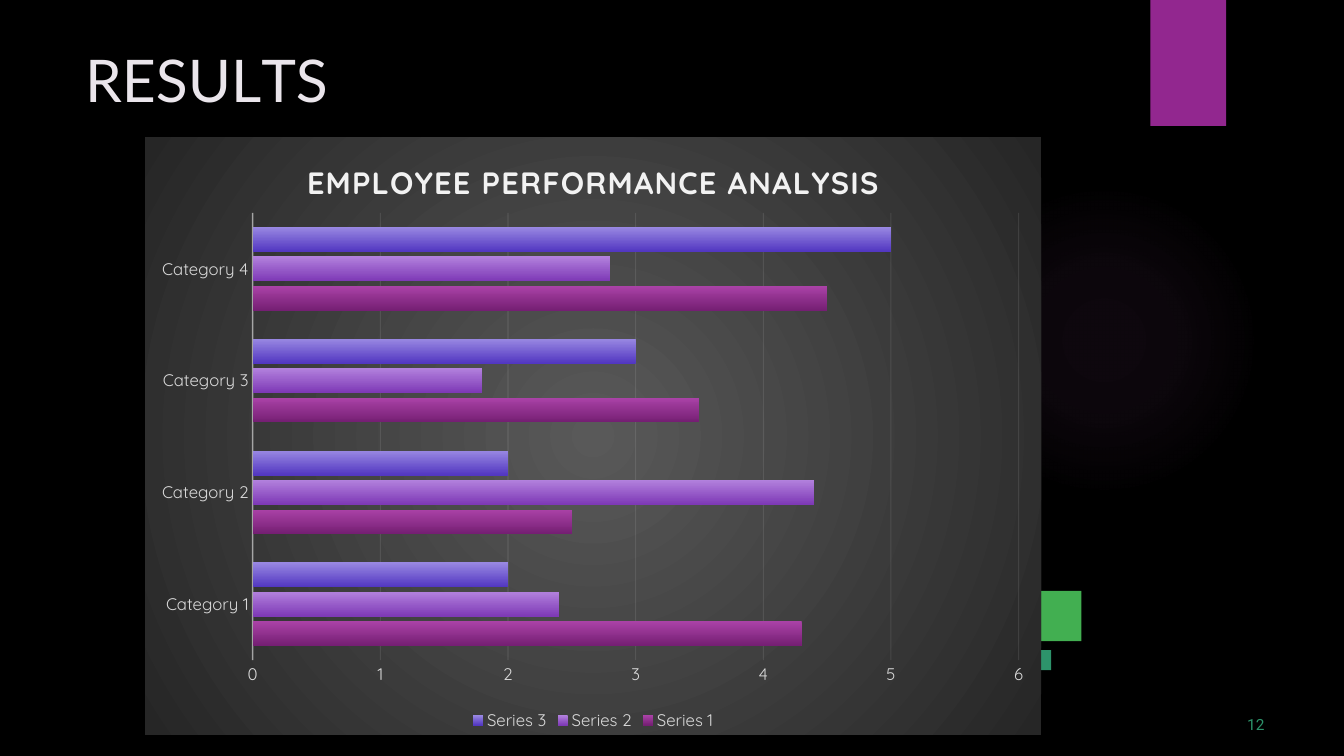
from lxml import etree
from pptx import Presentation
from pptx import util as u
from pptx.chart.data import CategoryChartData
from pptx.dml.color import RGBColor
from pptx.enum import chart as ch
from pptx.enum import shapes, text
from pptx.oxml import ns, parse_xml

CATEGORIES = ["Category 1", "Category 2", "Category 3", "Category 4"]
# name, values, top colour, bottom colour
SERIES = [
    ("Series 1", [4.3, 2.5, 3.5, 4.5], "AA42A7", "751F73"),
    ("Series 2", [2.4, 4.4, 1.8, 2.8], "B281DD", "7E39B6"),
    ("Series 3", [2, 2, 3, 5], "9988E2", "5237C1"),
]
# letters, letter spacing in points
TITLE = [("R", 0), ("E", -0.4), ("S", 0.1), ("U", -0.3), ("L", -4), ("TS", 0)]


def color(code):
    return RGBColor.from_string(code)


def gradient(stops, angle=None):
    """Gradient of (position %, colour, opacity %) stops; circular without an angle."""
    fill = etree.Element(ns.qn("a:gradFill"), rotWithShape="1")
    stop_list = etree.SubElement(fill, ns.qn("a:gsLst"))
    for position, code, opacity in stops:
        stop = etree.SubElement(stop_list, ns.qn("a:gs"), pos=str(position * 1000))
        tint = etree.SubElement(stop, ns.qn("a:srgbClr"), val=code)
        if opacity < 100:
            etree.SubElement(tint, ns.qn("a:alpha"), val=str(opacity * 1000))
    if angle is None:
        way = etree.SubElement(fill, ns.qn("a:path"))
        way.set("path", "circle")
        etree.SubElement(way, ns.qn("a:fillToRect"), l="50000", t="50000",
                         r="50000", b="50000")
    else:
        etree.SubElement(fill, ns.qn("a:lin"), ang=str(angle * 60000), scaled="0")
    return fill


def swap_fill(properties, fill):
    """Put a gradient in the place of a solid fill."""
    solid = properties.find(ns.qn("a:solidFill"))
    properties.replace(solid, fill)


class SlideBuilder:
    heading_font = "Lato"
    number_font = "Roboto"
    chart_font = "Quicksand"
    chart_text = "D9D9D9"
    chart_line = "F2F2F2"

    def __init__(self, deck):
        self.slide = deck.slides.add_slide(deck.slide_layouts[6])
        background = self.slide.background.fill
        background.solid()
        background.fore_color.rgb = color("000000")

    def block(self, left, top, width, height, code,
              kind=shapes.MSO_SHAPE.RECTANGLE):
        shape = self.slide.shapes.add_shape(
            kind, u.Pt(left), u.Pt(top), u.Pt(width), u.Pt(height))
        shape.shadow.inherit = False
        shape.fill.solid()
        shape.fill.fore_color.rgb = color(code)
        shape.line.fill.background()
        return shape

    def halo(self, left, top, size, code):
        shape = self.block(left, top, size, size, code, shapes.MSO_SHAPE.OVAL)
        stops = [(0, code, 7), (36, code, 6), (69, code, 0)]
        swap_fill(shape._element.spPr, gradient(stops))

    def label(self, left, top, width, height, spans, size, font, code,
              indent, before):
        box = self.slide.shapes.add_textbox(
            u.Pt(left), u.Pt(top), u.Pt(width), u.Pt(height))
        frame = box.text_frame
        frame.word_wrap = True
        frame.auto_size = text.MSO_AUTO_SIZE.SHAPE_TO_FIT_TEXT
        frame.margin_left = frame.margin_right = frame.margin_bottom = 0
        frame.margin_top = u.Pt(1)
        para = frame.paragraphs[0]
        para.space_before = u.Pt(before)
        para._p.get_or_add_pPr().set("marL", str(u.Pt(indent)))
        for letters, spacing in spans:
            span = para.add_run()
            span.text = letters
            self.style(span.font, size, code, font)
            span.font._element.set("spc", str(round(spacing * 100)))

    def style(self, font, size, code, name):
        font.size = u.Pt(size)
        font.name = name
        font.color.rgb = color(code)

    def rule(self, line, width, opacity):
        line.width = u.Pt(width)
        line.color.rgb = color(self.chart_line)
        tint = line._ln.find(".//" + ns.qn("a:srgbClr"))
        etree.SubElement(tint, ns.qn("a:alpha"), val=str(opacity * 1000))

    def bar_chart(self, left, top, width, height, title):
        data = CategoryChartData()
        data.categories = CATEGORIES
        for name, values, _, _ in SERIES:
            data.add_series(name, values)
        chart = self.slide.shapes.add_chart(
            ch.XL_CHART_TYPE.BAR_CLUSTERED, u.Pt(left), u.Pt(top),
            u.Pt(width), u.Pt(height), data).chart
        self.style(chart.font, 10, "FFFFFF", self.chart_font)
        self.chart_background(chart)
        self.chart_title(chart, title)
        self.axes(chart)
        self.plot_area(chart)

        plot = chart.plots[0]
        plot.gap_width = 115
        plot.overlap = -20
        plot.vary_by_categories = False
        for series, (_, _, light, dark) in zip(plot.series, SERIES):
            series.format.fill.solid()
            fill = gradient([(0, light, 100), (100, dark, 100)], 90)
            swap_fill(series._element.spPr, fill)

        chart.has_legend = True
        chart.legend.position = ch.XL_LEGEND_POSITION.BOTTOM
        chart.legend.include_in_layout = False
        self.style(chart.legend.font, 12, self.chart_text, self.chart_font)

    def chart_background(self, chart):
        space = chart._chartSpace
        properties = etree.Element(ns.qn("c:spPr"))
        properties.append(gradient([(0, "595959", 100), (100, "262626", 100)]))
        line = etree.SubElement(properties, ns.qn("a:ln"))
        etree.SubElement(line, ns.qn("a:noFill"))
        space.find(ns.qn("c:txPr")).addprevious(properties)

    def chart_title(self, chart, title):
        chart.has_title = True
        chart.chart_title.include_in_layout = False
        span = chart.chart_title.text_frame.paragraphs[0].add_run()
        span.text = title
        span.font.bold = True
        self.style(span.font, 22, "F2F2F2", self.chart_font)
        span.font._element.set("spc", "100")

    def axes(self, chart):
        for axis in (chart.category_axis, chart.value_axis):
            axis.major_tick_mark = axis.minor_tick_mark = ch.XL_TICK_MARK.NONE
            self.style(axis.tick_labels.font, 12, self.chart_text, self.chart_font)
        self.rule(chart.category_axis.format.line, 1, 54)
        scale = chart.value_axis
        scale.minimum_scale, scale.maximum_scale, scale.major_unit = 0, 6, 1
        scale.format.line.fill.background()
        scale.has_major_gridlines = True
        self.rule(scale.major_gridlines.format.line, 0.75, 10)

    def plot_area(self, chart):
        """Fix the inner plot area as shares of the chart."""
        area = chart._chartSpace.find(".//" + ns.qn("c:plotArea"))
        for old in area.findall(ns.qn("c:layout")):
            area.remove(old)
        parts = [("layoutTarget", "inner"), ("xMode", "edge"), ("yMode", "edge"),
                 ("x", 0.12), ("y", 0.127), ("w", 0.855), ("h", 0.748)]
        items = "".join(f'<c:{tag} val="{value}"/>' for tag, value in parts)
        area.insert(0, parse_xml(
            f'<c:layout {ns.nsdecls("c")}><c:manualLayout>{items}'
            '</c:manualLayout></c:layout>'))


def main():
    deck = Presentation()
    deck.slide_width, deck.slide_height = u.Pt(960), u.Pt(540)
    page = SlideBuilder(deck)
    page.halo(677.5, 131.8, 221.8, "BA69B8")
    page.block(821.8, 0, 54, 90, "92278F")
    page.block(736.5, 422, 36, 36, "42AF51")
    page.block(736.5, 464.4, 14.4, 14.4, "2D936B")
    page.label(59.8, 30.2, 192.2, 51.8, TITLE, 42, page.heading_font,
               "EAE5EB", 1, 1.1)
    page.label(887.8, 509.8, 18, 15, [("12", 0.1)], 11, page.number_font,
               "2D936B", 3, 0.6)
    page.bar_chart(103.7, 97.9, 640, 427, "EMPLOYEE PERFORMANCE ANALYSIS")
    deck.save("out.pptx")


if __name__ == "__main__":
    main()
